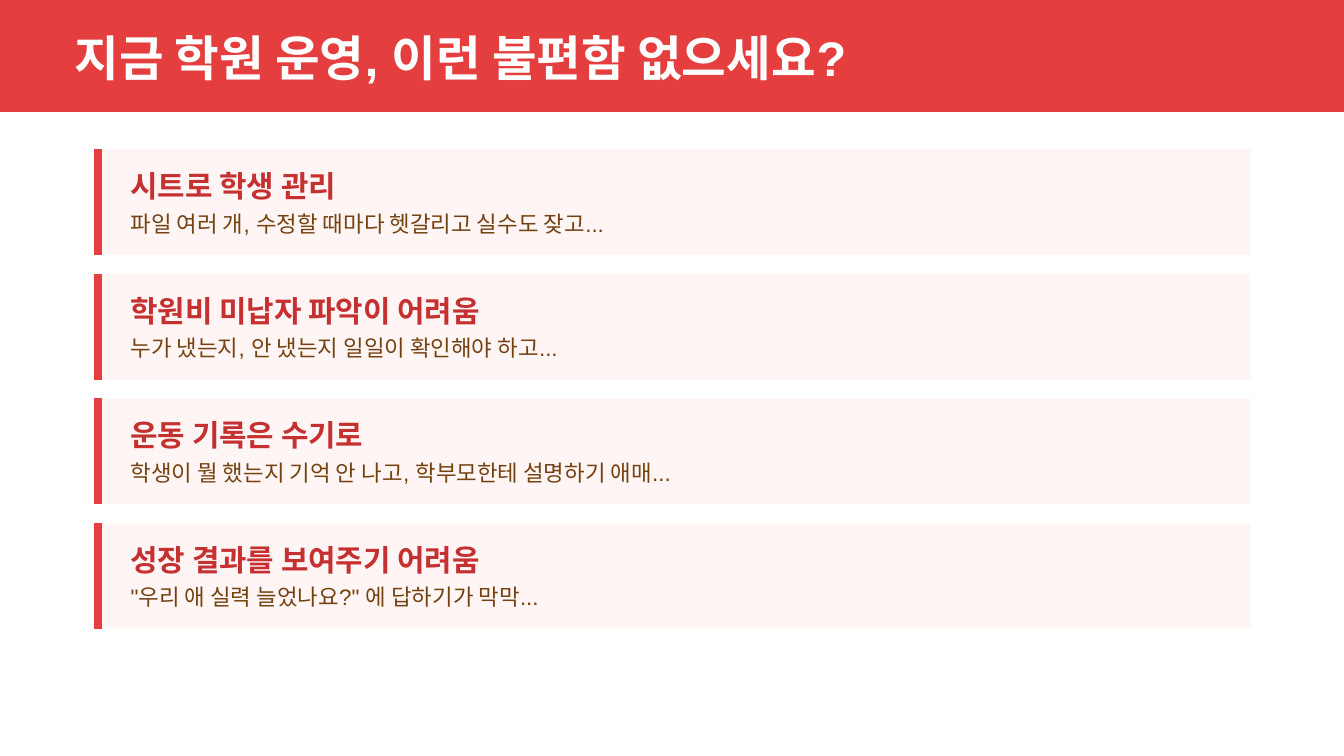
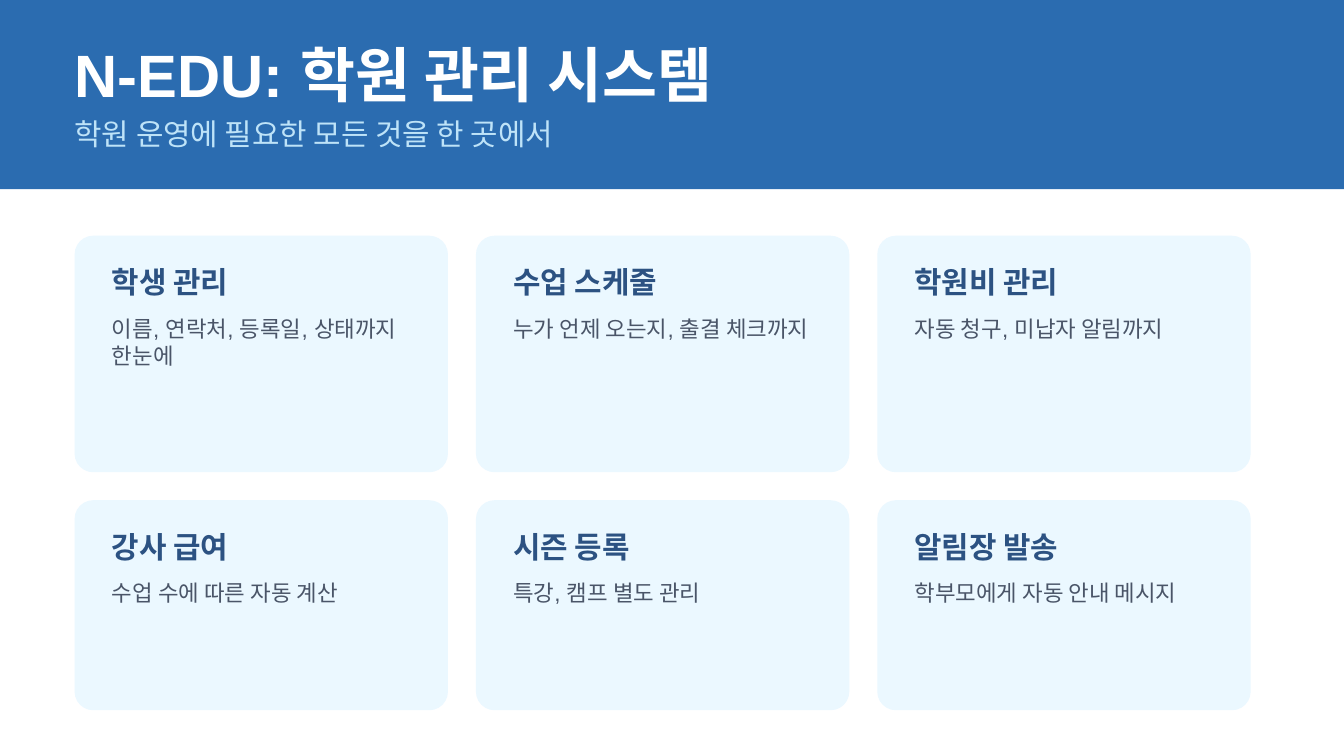
"""Build two slides on academy management: daily troubles and the system's features."""
from lxml import etree
from pptx import Presentation
from pptx.dml.color import RGBColor
from pptx.enum.shapes import MSO_CONNECTOR as LINE, MSO_SHAPE as SHAPE
from pptx.oxml.ns import qn
from pptx.util import Inches, Pt

WHITE = RGBColor(0xFF, 0xFF, 0xFF)
RED = RGBColor(0xE5, 0x3E, 0x3E)
DARK_RED = RGBColor(0xC5, 0x30, 0x30)
PALE_RED = RGBColor(0xFF, 0xF5, 0xF5)
BROWN = RGBColor(0x74, 0x42, 0x10)
BLUE = RGBColor(0x2B, 0x6C, 0xB0)
DARK_BLUE = RGBColor(0x2C, 0x52, 0x82)
LIGHT_BLUE = RGBColor(0xBE, 0xE3, 0xF8)
PALE_BLUE = RGBColor(0xEB, 0xF8, 0xFF)
GRAY = RGBColor(0x4A, 0x55, 0x68)

FONT = "Arial"
COLS = 72
MARGIN = 4
HEAD, BODY = 16, 12
HEAD_H, BODY_H = 2, 1.5

TROUBLES = [
    ("시트로 학생 관리", "파일 여러 개, 수정할 때마다 헷갈리고 실수도 잦고..."),
    ("학원비 미납자 파악이 어려움", "누가 냈는지, 안 냈는지 일일이 확인해야 하고..."),
    ("운동 기록은 수기로", "학생이 뭘 했는지 기억 안 나고, 학부모한테 설명하기 애매..."),
    ("성장 결과를 보여주기 어려움", "\"우리 애 실력 늘었나요?\" 에 답하기가 막막..."),
]
FEATURE_ROWS = [
    (12.67, 2 * BODY_H, [
        ("학생 관리", "이름, 연락처, 등록일, 상태까지 한눈에"),
        ("수업 스케줄", "누가 언제 오는지, 출결 체크까지"),
        ("학원비 관리", "자동 청구, 미납자 알림까지"),
    ]),
    (11.25, BODY_H, [
        ("강사 급여", "수업 수에 따른 자동 계산"),
        ("시즌 등록", "특강, 캠프 별도 관리"),
        ("알림장 발송", "학부모에게 자동 안내 메시지"),
    ]),
]


class Deck:
    """Hold the presentation, its square grid and the current slide."""

    def __init__(self):
        self.prs = Presentation()
        self.prs.slide_width, self.prs.slide_height = Inches(10), Inches(5.625)
        self.unit = self.prs.slide_width / COLS
        self.s = None

    def grid(self, *cells):
        return [round(cell * self.unit) for cell in cells]

    def new_slide(self):
        self.s = self.prs.slides.add_slide(self.prs.slide_layouts[6])

    def box(self, x, y, w, h, fill, rounded=False):
        kind = SHAPE.ROUNDED_RECTANGLE if rounded else SHAPE.RECTANGLE
        sp = self.s.shapes.add_shape(kind, *self.grid(x, y, w, h))
        sp.shadow.inherit = False
        sp.fill.solid()
        sp.fill.fore_color.rgb = fill
        sp.line.fill.background()
        if rounded:
            sp.adjustments[0] = 1 / h

    def bar(self, x, y, h, color):
        ln = self.s.shapes.add_connector(LINE.STRAIGHT, *self.grid(x, y, x, y + h))
        ln.line.color.rgb = color
        ln.line.width = Pt(4.5)
        etree.SubElement(ln._element.spPr, qn("a:effectLst"))

    def text(self, x, y, w, h, text, size, color, bold=False, before=0, after=0):
        tf = self.s.shapes.add_textbox(*self.grid(x, y, w, h)).text_frame
        tf.word_wrap = True
        tf.margin_left = tf.margin_top = tf.margin_right = tf.margin_bottom = 0
        p = tf.paragraphs[0]
        p.space_before, p.space_after = Pt(before), Pt(after)
        r = p.add_run()
        r.text = text
        r.font.name, r.font.size, r.font.bold = FONT, Pt(size), bold
        r.font.color.rgb = color

    def header(self, band_h, fill, title, y, h, size):
        self.box(0, 0, COLS, band_h, fill)
        self.text(MARGIN, y, 65.3, h, title, size, WHITE, bold=True)

    def trouble(self, y, head, body):
        x, h = 5, 5.67
        self.box(x, y, COLS - 2 * x, h, PALE_RED)
        self.bar(x + 0.25, y, h, RED)
        self.text(x + 2, y + 1, 59.7, HEAD_H, head, HEAD, DARK_RED, bold=True, after=3)
        self.text(x + 2, y + 3.25, 59.7, BODY_H, body, BODY, BROWN)

    def feature(self, x, y, w, h, head, body, body_h):
        self.box(x, y, w, h, PALE_BLUE, rounded=True)
        self.text(x + 2, y + 1.5, 16.35, HEAD_H, head, HEAD, DARK_BLUE, bold=True, after=8)
        self.text(x + 2, y + 4.25, 16.35, body_h, body, BODY, GRAY)


def troubles_slide(deck):
    deck.new_slide()
    deck.header(6, RED, "지금 학원 운영, 이런 불편함 없으세요?", 1.5, 3, 26)
    for i, (head, body) in enumerate(TROUBLES):
        deck.trouble(8 + i * 6.67, head, body)


def features_slide(deck):
    deck.new_slide()
    deck.header(10.13, BLUE, "N-EDU: 학원 관리 시스템", 2, 3.7, 32)
    deck.text(MARGIN, 6.2, 65.3, HEAD_H, "학원 운영에 필요한 모든 것을 한 곳에서",
              HEAD, LIGHT_BLUE, before=5)
    y, w, gap = 12.63, 20, 1.5
    for h, body_h, features in FEATURE_ROWS:
        for i, (head, body) in enumerate(features):
            deck.feature(MARGIN + i * (w + gap), y, w, h, head, body, body_h)
        y += h + gap


def main():
    deck = Deck()
    troubles_slide(deck)
    features_slide(deck)
    deck.prs.save("out.pptx")


if __name__ == "__main__":
    main()
